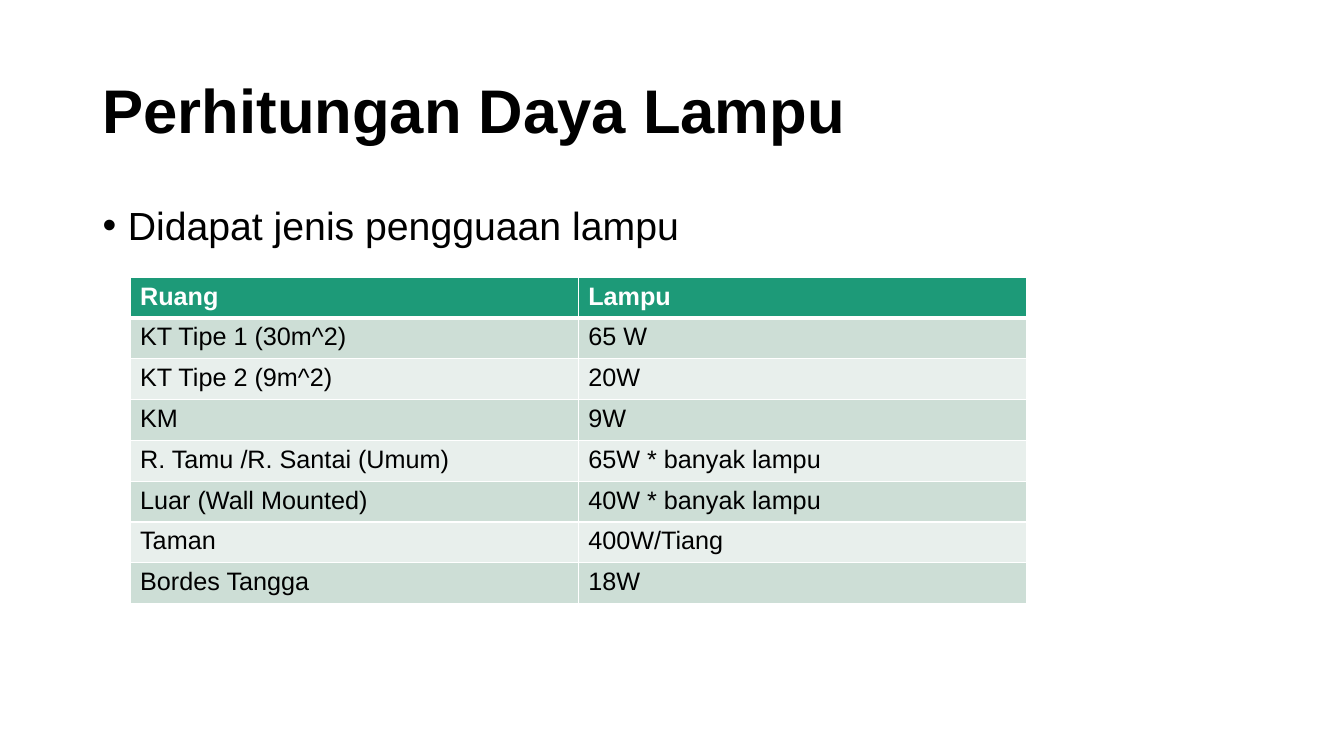
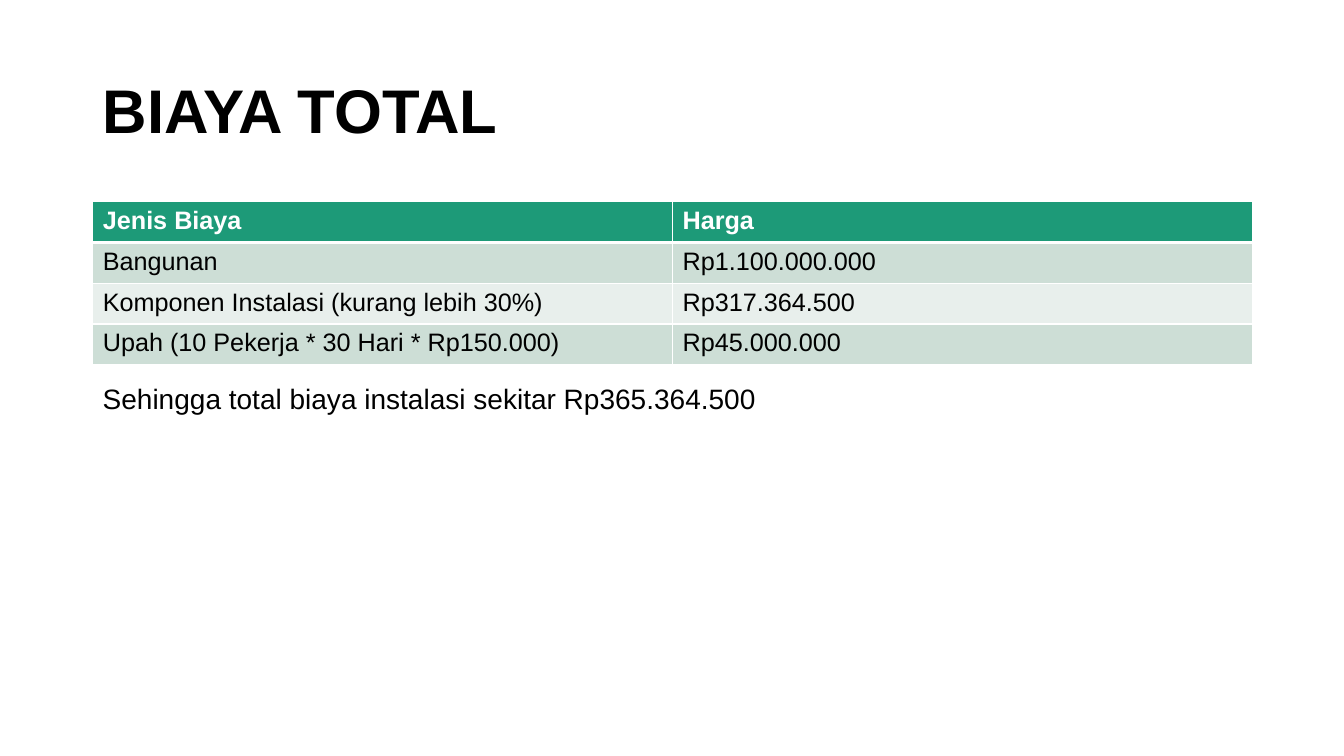
from lxml import etree
from pptx import Presentation
from pptx.dml.color import RGBColor
from pptx.enum.text import MSO_ANCHOR, PP_ALIGN
from pptx.oxml.ns import qn
from pptx.util import Inches, Pt

TOP, MIDDLE = MSO_ANCHOR.TOP, MSO_ANCHOR.MIDDLE
LEFT, JUSTIFY = PP_ALIGN.LEFT, PP_ALIGN.JUSTIFY

THEME = {
    "font": "Arial",
    "text": "000000",
    "light": "FFFFFF",
    "header": "1D9A78",
    "bands": ("CDDED6", "E8EFEC"),
    "title": {"size": Pt(44), "bold": True},
    "body": {"size": Pt(28), "bold": False},
    "note": {"size": Pt(20), "bold": False},
    "header_cell": {"size": Pt(18), "bold": True},
    "cell": {"size": Pt(18), "bold": False},
    "title_paragraph": {"alignment": LEFT, "line_spacing": 0.9},
    "body_paragraph": {"alignment": JUSTIFY, "line_spacing": 0.9, "space_before": Pt(10)},
    "border": Pt(1),
    "header_border": Pt(3),
}
MARGIN, CONTENT_WIDTH = 0.92, 11.5
ROW_HEIGHT = 0.405

SLIDES = [
    {
        "title": "Perhitungan Daya Lampu",
        "texts": [("Didapat jenis pengguaan lampu", "body", 2, 4.76, True)],
        "table_box": (1.29, 2.75, 8.89),
        "rows": [
            ("Ruang", "Lampu"),
            ("KT Tipe 1 (30m^2)", "65 W"),
            ("KT Tipe 2 (9m^2)", "20W"),
            ("KM", "9W"),
            ("R. Tamu /R. Santai (Umum)", "65W * banyak lampu"),
            ("Luar (Wall Mounted)", "40W * banyak lampu"),
            ("Taman", "400W/Tiang"),
            ("Bordes Tangga", "18W"),
        ],
    },
    {
        "title": "BIAYA TOTAL",
        "texts": [("Sehingga total biaya instalasi sekitar Rp365.364.500", "note", 3.77, 0.68, False)],
        "table_box": (MARGIN, 2, CONTENT_WIDTH),
        "rows": [
            ("Jenis Biaya", "Harga"),
            ("Bangunan", "Rp1.100.000.000"),
            ("Komponen Instalasi (kurang lebih 30%)", "Rp317.364.500"),
            ("Upah (10 Pekerja * 30 Hari * Rp150.000)", "Rp45.000.000"),
        ],
    },
]


def write_text(paragraph, text, style, color, paragraph_format):
    run = paragraph.add_run()
    run.text = text
    run.font.name = THEME["font"]
    run.font.color.rgb = RGBColor.from_string(color)
    for target, values in ((run.font, THEME[style]), (paragraph, paragraph_format)):
        for name, value in values.items():
            setattr(target, name, value)


def add_text(slide, text, style, top, height, anchor, paragraph_format):
    shape = slide.shapes.add_textbox(
        Inches(MARGIN), Inches(top), Inches(CONTENT_WIDTH), Inches(height))
    shape.text_frame.word_wrap = True
    shape.text_frame.vertical_anchor = anchor
    paragraph = shape.text_frame.paragraphs[0]
    write_text(paragraph, text, style, THEME["text"], paragraph_format)
    return paragraph


presentation = Presentation()
presentation.slide_width = Inches(13.33)
presentation.slide_height = Inches(7.5)

for content in SLIDES:
    slide = presentation.slides.add_slide(presentation.slide_layouts[6])
    add_text(slide, content["title"], "title", 0.4, 1.45, MIDDLE, THEME["title_paragraph"])

    for text, style, top, height, bulleted in content["texts"]:
        paragraph = add_text(slide, text, style, top, height, TOP, THEME["body_paragraph"])
        if bulleted:
            properties = paragraph._p.get_or_add_pPr()
            properties.set("marL", str(Inches(0.25)))
            properties.set("indent", str(Inches(-0.25)))
            etree.SubElement(properties, qn("a:buFont")).set("typeface", THEME["font"])
            etree.SubElement(properties, qn("a:buChar")).set("char", "•")

    rows = content["rows"]
    left, top, width = content["table_box"]
    table = slide.shapes.add_table(
        len(rows), len(rows[0]), Inches(left), Inches(top),
        Inches(width), Inches(ROW_HEIGHT * len(rows))).table

    for row_index, row in enumerate(rows):
        is_header = row_index == 0
        fill_color = THEME["header"] if is_header else THEME["bands"][(row_index - 1) % 2]
        text_color = THEME["light"] if is_header else THEME["text"]
        style = "header_cell" if is_header else "cell"
        borders = {side: THEME["border"] for side in ("lnL", "lnR", "lnT", "lnB")}
        if row_index < 2:
            borders["lnB" if is_header else "lnT"] = THEME["header_border"]

        for column_index, text in enumerate(row):
            cell = table.cell(row_index, column_index)
            write_text(cell.text_frame.paragraphs[0], text, style, text_color, {})
            properties = cell._tc.get_or_add_tcPr()
            for side, line_width in borders.items():
                line = etree.SubElement(properties, qn(f"a:{side}"), w=str(line_width))
                line_fill = etree.SubElement(line, qn("a:solidFill"))
                etree.SubElement(line_fill, qn("a:srgbClr"), val=THEME["light"])
            cell.fill.solid()
            cell.fill.fore_color.rgb = RGBColor.from_string(fill_color)
            fill = properties.find(qn("a:solidFill"))
            properties.append(fill)

presentation.save("out.pptx")
